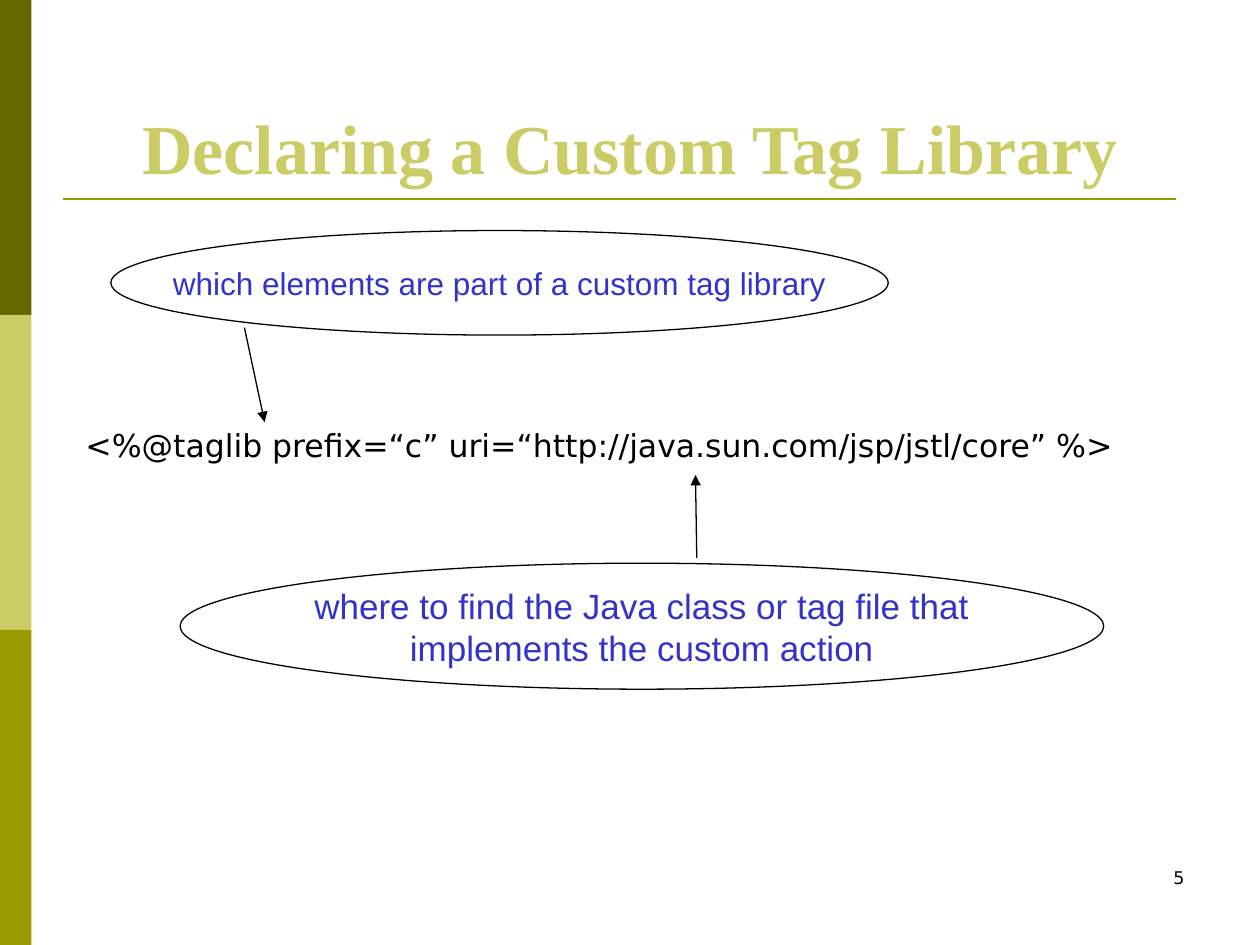
import pptx
import pptx.dml.color
import pptx.enum.shapes
import pptx.enum.text
import pptx.oxml
import pptx.oxml.ns
import pptx.util
from pptx.util import Inches

COLORS = {
    "dark_olive": "666600",
    "olive": "999900",
    "light_olive": "CCCC66",
    "note": "3333CC",
    "black": "000000",
}
ALIGN = pptx.enum.text.PP_ALIGN
ANCHOR = pptx.enum.text.MSO_ANCHOR
SHAPE = pptx.enum.shapes.MSO_SHAPE


def rgb(name):
    return pptx.dml.color.RGBColor.from_string(COLORS[name])


def write(frame, text, size, font="Arial", color="black", bold=False,
          align=ALIGN.LEFT, anchor=ANCHOR.TOP, wrap=True):
    """Fill a text frame, one paragraph per line of text."""
    frame.text = text
    frame.auto_size = pptx.enum.text.MSO_AUTO_SIZE.NONE
    frame.word_wrap = wrap
    frame.vertical_anchor = anchor
    for paragraph in frame.paragraphs:
        paragraph.alignment = align
        for run in paragraph.runs:
            run.font.size = pptx.util.Pt(size)
            run.font.name = font
            run.font.bold = bold
            run.font.color.rgb = rgb(color)


class SlideBuilder:
    def __init__(self, slide):
        self.slide = slide
        self.code_font = "DejaVu Sans"
        self.title_font = "Times New Roman"
        self.outline = 0.75

    def title(self, text, left, top, width, height):
        title = self.slide.shapes.title
        title.left, title.top = Inches(left), Inches(top)
        title.width, title.height = Inches(width), Inches(height)
        write(title.text_frame, text, 40, self.title_font, "light_olive",
              bold=True, align=ALIGN.CENTER, anchor=ANCHOR.BOTTOM)

    def shape(self, kind, left, top, width, height):
        shape = self.slide.shapes.add_shape(
            kind, Inches(left), Inches(top), Inches(width), Inches(height))
        shape.shadow.inherit = False
        return shape

    def band(self, color, top, height):
        band = self.shape(SHAPE.RECTANGLE, 0, top, 0.25, height)
        band.fill.solid()
        band.fill.fore_color.rgb = rgb(color)
        band.line.fill.background()

    def callout(self, text, size, left, top, width, height):
        callout = self.shape(SHAPE.OVAL, left, top, width, height)
        callout.fill.background()
        callout.line.color.rgb = rgb("black")
        callout.line.width = pptx.util.Pt(self.outline)
        write(callout.text_frame, text, size, color="note",
              align=ALIGN.CENTER, anchor=ANCHOR.MIDDLE, wrap=False)

    def line(self, start, end, color, width):
        line = self.slide.shapes.add_connector(
            pptx.enum.shapes.MSO_CONNECTOR.STRAIGHT,
            *(Inches(value) for value in (*start, *end)))
        line.line.color.rgb = rgb(color)
        line.line.width = pptx.util.Pt(width)
        properties = line.line._get_or_add_ln().getparent()
        properties.append(pptx.oxml.parse_xml(
            f"<a:effectLst {pptx.oxml.ns.nsdecls('a')}/>"))
        return line

    def arrow(self, start, end):
        arrow = self.line(start, end, "black", self.outline)
        arrow.line._get_or_add_ln().append(pptx.oxml.parse_xml(
            f"<a:tailEnd {pptx.oxml.ns.nsdecls('a')} type='triangle'/>"))

    def text(self, text, size, left, top, width, height, align=ALIGN.LEFT):
        box = self.slide.shapes.add_textbox(
            Inches(left), Inches(top), Inches(width), Inches(height))
        write(box.text_frame, text, size, self.code_font, align=align)


def main():
    deck = pptx.Presentation()
    deck.slide_width, deck.slide_height = Inches(10), Inches(7.5)
    title_only = deck.slide_layouts[5]
    builder = SlideBuilder(deck.slides.add_slide(title_only))

    band_height = 2.5
    for index, color in enumerate(("dark_olive", "light_olive", "olive")):
        builder.band(color, index * band_height, band_height)
    builder.line((0.5, 1.58), (9.33, 1.58), "olive", 1.5)
    builder.title("Declaring a Custom Tag Library", 0.5, 0.3, 9, 1.25)

    builder.callout("where to find the Java class or tag file that\n"
                    "implements the custom action", 20, 1.43, 4.47, 7.33, 1)
    builder.arrow((1.94, 2.6), (2.1, 3.35))
    builder.callout("which elements are part of a custom tag library",
                    18, 0.88, 1.83, 6.17, 0.83)
    builder.arrow((5.53, 4.43), (5.52, 3.77))
    builder.text("<%@taglib prefix=“c” uri=“http://java.sun.com/jsp/jstl/core” %>",
                 18, 0.58, 3.33, 8.83, 0.86)
    builder.text("5", 10, 7.17, 6.83, 2.33, 0.5, align=ALIGN.RIGHT)
    deck.save("out.pptx")


if __name__ == "__main__":
    main()
